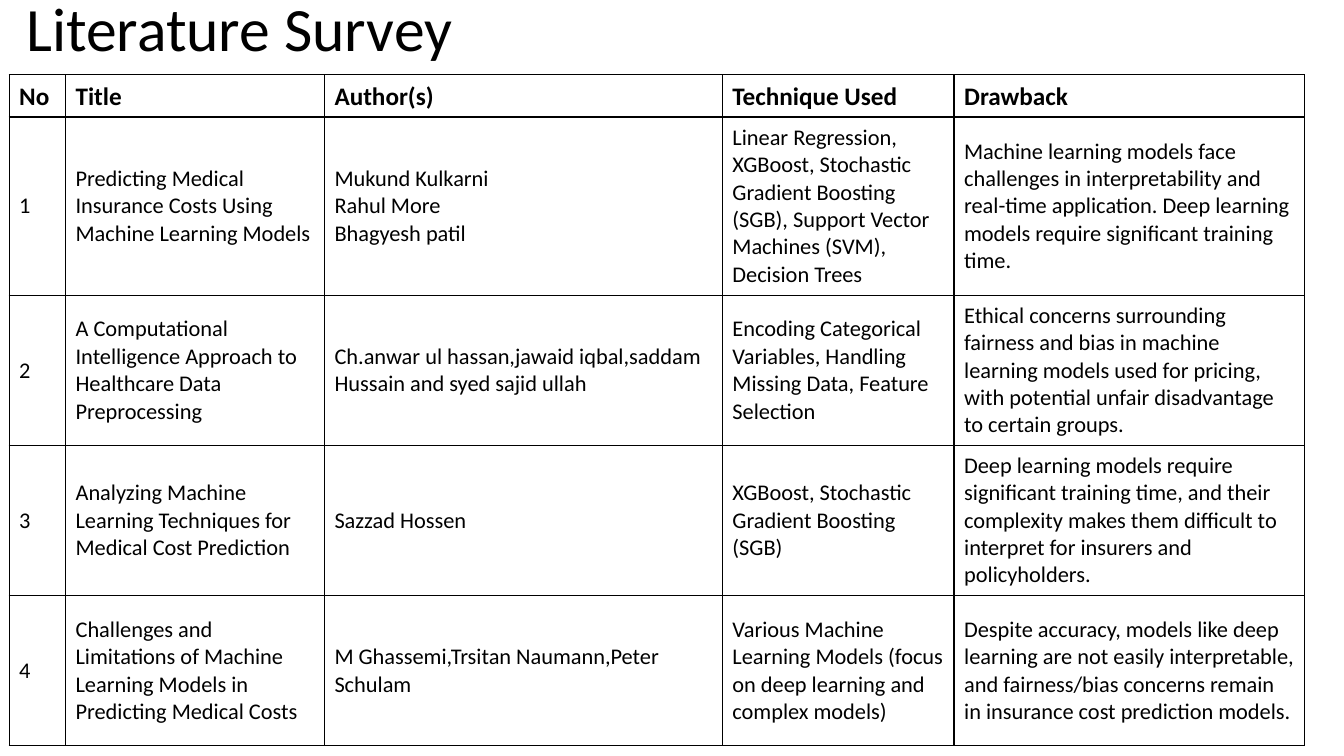
import lxml.etree
import pptx
import pptx.dml.color
import pptx.enum.text
import pptx.oxml.ns
import pptx.util

BLACK = pptx.dml.color.RGBColor(0x00, 0x00, 0x00)
WHITE = pptx.dml.color.RGBColor(0xFF, 0xFF, 0xFF)
MIDDLE = pptx.enum.text.MSO_ANCHOR.MIDDLE
BOTTOM = pptx.enum.text.MSO_ANCHOR.BOTTOM
LEFT = pptx.enum.text.PP_ALIGN.LEFT

TITLE_FONT = {"name": "Calibri", "size": pptx.util.Pt(44), "bold": False}
HEADER_FONT = {"name": "Calibri", "size": pptx.util.Pt(18), "bold": True}
BODY_FONT = {"name": "Calibri", "size": pptx.util.Pt(16), "bold": False}

# Boxes in percent of the slide: left, top, width, height
TITLE_BOX = (1.2, -2.27, 85, 12.93)
TABLE_BOX = (0.68, 9.87, 96.4, 88.8)

# Relative column widths and row heights
COLUMN_WEIGHTS = [0.56, 2.57, 3.95, 2.3, 3.48]
ROW_WEIGHTS = [0.42, 1.77, 1.49, 1.49, 1.49]

HEADINGS = ("No", "Title", "Author(s)", "Technique Used", "Drawback")
# Title, authors, technique, drawback; "\v" breaks a line
PAPERS = [
    ("Predicting Medical Insurance Costs Using Machine Learning Models",
     "Mukund Kulkarni\vRahul More\vBhagyesh patil",
     "Linear Regression, XGBoost, Stochastic Gradient Boosting (SGB), "
     "Support Vector Machines (SVM), Decision Trees",
     "Machine learning models face challenges in interpretability and real-time "
     "application. Deep learning models require significant training time."),
    ("A Computational Intelligence Approach to Healthcare Data Preprocessing",
     "Ch.anwar ul hassan,jawaid iqbal,saddam Hussain and syed sajid ullah",
     "Encoding Categorical Variables, Handling Missing Data, Feature Selection",
     "Ethical concerns surrounding fairness and bias in machine learning models "
     "used for pricing, with potential unfair disadvantage to certain groups."),
    ("Analyzing Machine Learning Techniques for Medical Cost Prediction",
     "Sazzad Hossen",
     "XGBoost, Stochastic Gradient Boosting (SGB)",
     "Deep learning models require significant training time, and their complexity "
     "makes them difficult to interpret for insurers and policyholders."),
    ("Challenges and Limitations of Machine Learning Models in Predicting Medical Costs",
     "M Ghassemi,Trsitan Naumann,Peter Schulam",
     "Various Machine Learning Models (focus on deep learning and complex models)",
     "Despite accuracy, models like deep learning are not easily interpretable, "
     "and fairness/bias concerns remain in insurance cost prediction models."),
]


def scale_box(percents, slide_size):
    """Turn percentages of the slide into lengths."""
    return [round(share * length / 100) for share, length in zip(percents, slide_size * 2)]


def format_text(paragraphs, font_format):
    for paragraph in paragraphs:
        paragraph.alignment = LEFT
        for run in paragraph.runs:
            for attribute, value in font_format.items():
                setattr(run.font, attribute, value)
            run.font.color.rgb = BLACK


def add_borders(cell):
    qn = pptx.oxml.ns.qn
    properties = cell._tc.get_or_add_tcPr()
    for side in ("a:lnL", "a:lnR", "a:lnT", "a:lnB"):
        border = lxml.etree.SubElement(properties, qn(side), w=str(pptx.util.Pt(1)))
        fill = lxml.etree.SubElement(border, qn("a:solidFill"))
        lxml.etree.SubElement(fill, qn("a:srgbClr"), val=str(BLACK))


def place_title(slide, box):
    title = slide.shapes.title
    title.left, title.top, title.width, title.height = box
    frame = title.text_frame
    frame.text = "Literature Survey"
    frame.word_wrap = True
    frame.vertical_anchor = MIDDLE
    frame.paragraphs[0].line_spacing = 0.9
    format_text(frame.paragraphs, TITLE_FONT)


def place_survey(slide, box):
    left, top, width, height = box
    records = [HEADINGS] + [(str(no), *paper) for no, paper in enumerate(PAPERS, 1)]
    survey = slide.shapes.add_table(len(records), len(HEADINGS), left, top, width, height).table
    survey.horz_banding = False

    # Share the box out among columns and rows
    for column, weight in zip(survey.columns, COLUMN_WEIGHTS):
        column.width = round(width * weight / sum(COLUMN_WEIGHTS))
    for row, weight in zip(survey.rows, ROW_WEIGHTS):
        row.height = round(height * weight / sum(ROW_WEIGHTS))

    # Header row, then one row per paper
    for row_index, record in enumerate(records):
        is_header = row_index == 0
        for column_index, wording in enumerate(record):
            cell = survey.cell(row_index, column_index)
            cell.text_frame.text = wording
            cell.vertical_anchor = BOTTOM if is_header else MIDDLE
            format_text(cell.text_frame.paragraphs, HEADER_FONT if is_header else BODY_FONT)
            add_borders(cell)
            cell.fill.solid()
            cell.fill.fore_color.rgb = WHITE


def main():
    deck = pptx.Presentation()
    deck.slide_width = pptx.util.Inches(13.33)
    deck.slide_height = pptx.util.Inches(7.5)
    slide_size = (deck.slide_width, deck.slide_height)
    slide = deck.slides.add_slide(deck.slide_layouts.get_by_name("Title Only"))
    place_title(slide, scale_box(TITLE_BOX, slide_size))
    place_survey(slide, scale_box(TABLE_BOX, slide_size))
    deck.save("out.pptx")


if __name__ == "__main__":
    main()
